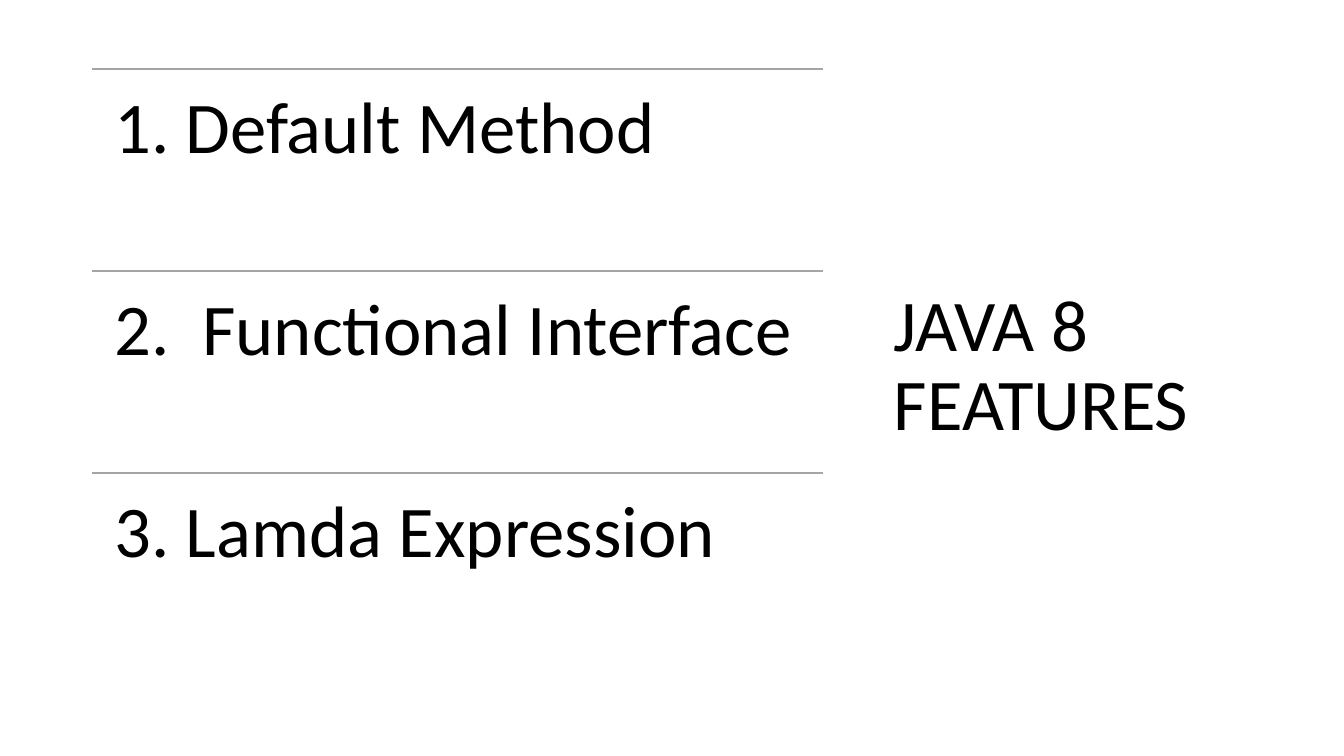
"""Build the Java 8 features slide: three ruled entries beside a title."""
from lxml.etree import SubElement
from pptx import Presentation
from pptx.dml.color import RGBColor
from pptx.enum.shapes import MSO_CONNECTOR
from pptx.enum.text import MSO_ANCHOR
from pptx.oxml.ns import qn
from pptx.util import Cm, Pt

COLORS = {"text": "000000", "rule": "A5A5A5"}
FEATURES = ["1. Default Method", "2.  Functional Interface", "3. Lamda Expression"]
LEFT, TOP, WIDTH, ROW_HEIGHT = 2.33, 1.74, 18.42, 5.09

prs = Presentation()
prs.slide_width, prs.slide_height = Cm(33.87), Cm(19.05)
slide = prs.slides.add_slide(prs.slide_layouts[6])


def add_text(text, left, top, width, height, inset_x, inset_y, anchor):
    frame = slide.shapes.add_textbox(Cm(left), Cm(top), Cm(width), Cm(height)).text_frame
    frame.word_wrap = True
    frame.vertical_anchor = anchor
    frame.margin_left = frame.margin_right = Cm(inset_x)
    frame.margin_top = frame.margin_bottom = Cm(inset_y)
    paragraph = frame.paragraphs[0]
    paragraph.text = text
    paragraph.line_spacing = 0.9
    paragraph.font.name = "Calibri"
    paragraph.font.size = Pt(52)
    paragraph.font.color.rgb = RGBColor.from_string(COLORS["text"])


add_text("JAVA 8 FEATURES", 22.28, 1.52, 9.27, 15.49, 0.25, 0.13, MSO_ANCHOR.MIDDLE)

for row, feature in enumerate(FEATURES):
    top = TOP + row * ROW_HEIGHT
    rule = slide.shapes.add_connector(
        MSO_CONNECTOR.STRAIGHT, Cm(LEFT), Cm(top), Cm(LEFT + WIDTH), Cm(top))
    rule.line.color.rgb = RGBColor.from_string(COLORS["rule"])
    rule.line.width = Pt(1)
    SubElement(rule._element.spPr, qn("a:effectLst"))
    add_text(feature, LEFT, top, WIDTH, ROW_HEIGHT, 0.55, 0.55, MSO_ANCHOR.TOP)

prs.save("out.pptx")
